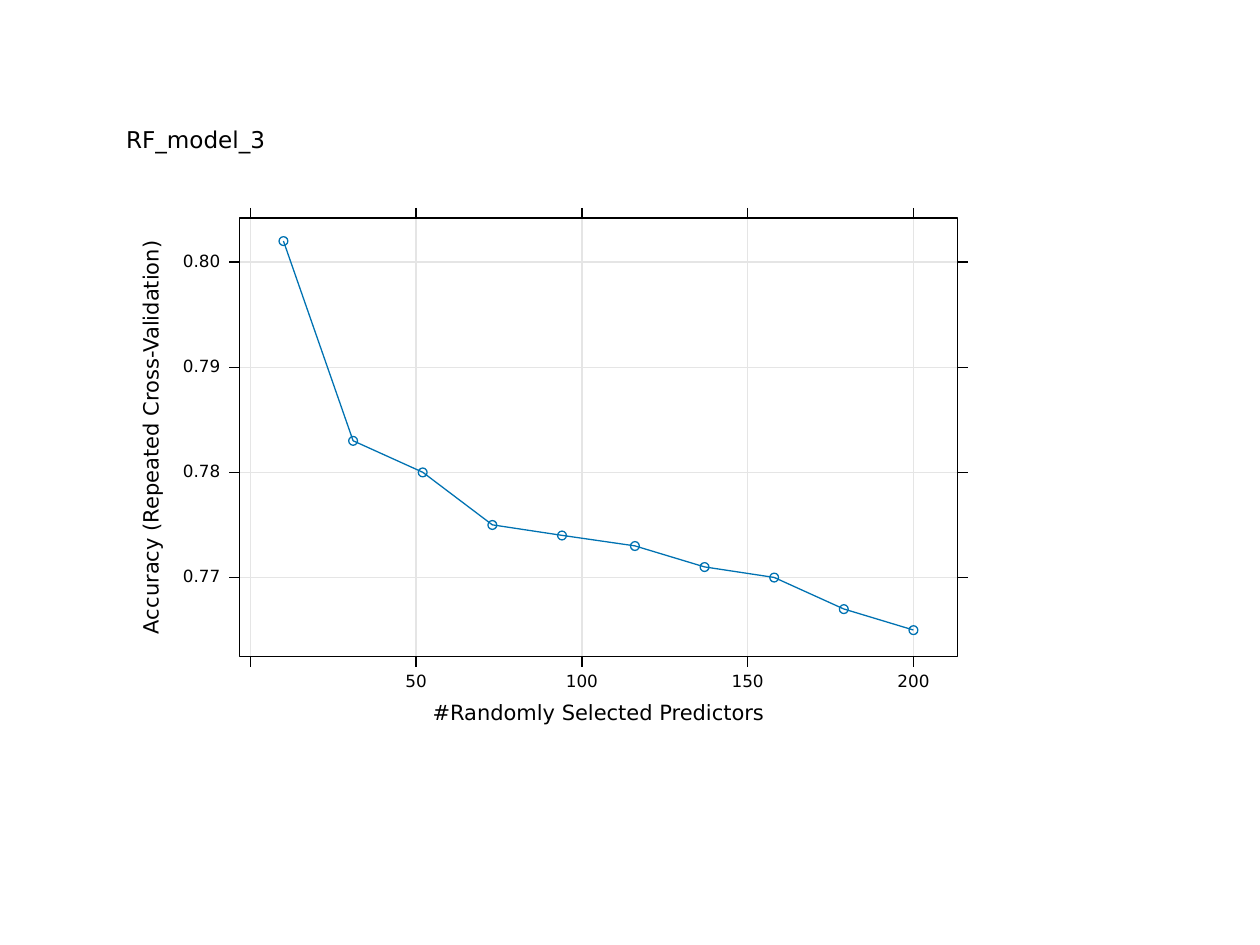
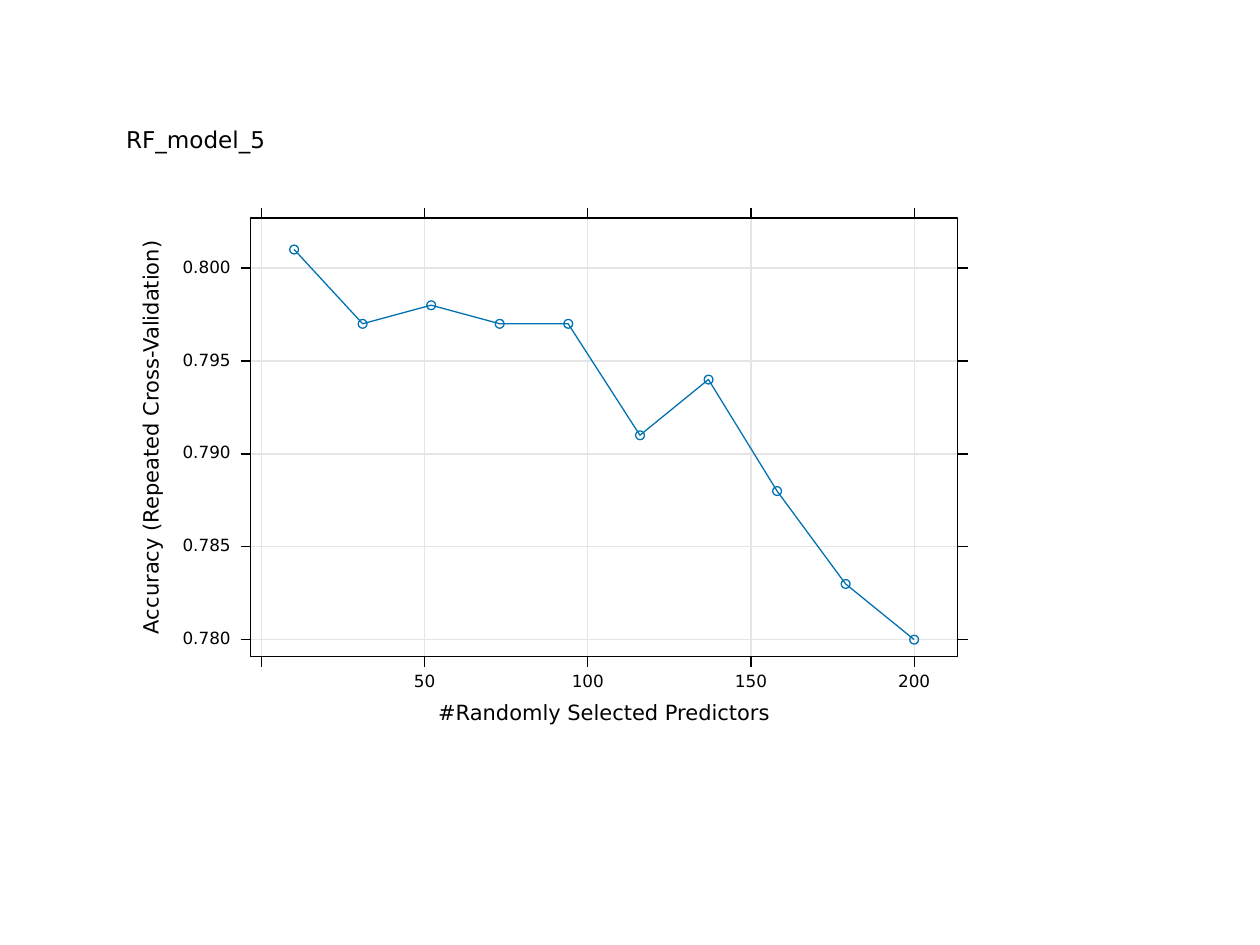
from lxml.etree import SubElement
from pptx import Presentation
from pptx.chart.data import XyChartData
from pptx.dml.color import RGBColor
from pptx.enum.chart import XL_CHART_TYPE, XL_MARKER_STYLE
from pptx.enum.shapes import MSO_CONNECTOR, MSO_SHAPE
from pptx.enum.text import MSO_ANCHOR, MSO_AUTO_SIZE, PP_ALIGN
from pptx.oxml.ns import qn
from pptx.util import Inches, Pt

BLACK = RGBColor(0x00, 0x00, 0x00)
GRID = RGBColor(0xE5, 0xE5, 0xE5)
BLUE = RGBColor(0x00, 0x72, 0xB2)
FONT = "DejaVu Sans"
LINE_WIDTH = Pt(0.75)
NAME_SIZE, AXIS_SIZE, LABEL_SIZE = 13.2, 12, 9.6

PREDICTORS = [10, 31, 52, 73, 94, 116, 137, 158, 179, 200]
PREDICTOR_TICKS = ["0", "50", "100", "150", "200"]
PREDICTOR_LIMITS = (-3.3, 213.3)
PREDICTOR_TITLE = "#Randomly Selected Predictors"
ACCURACY_TITLE = "Accuracy (Repeated Cross-Validation)"
MODELS = [
    {
        "name": "RF_model_3",
        "accuracy": [0.802, 0.783, 0.780, 0.775, 0.774, 0.773, 0.771, 0.770, 0.767, 0.765],
        "ticks": ["0.77", "0.78", "0.79", "0.80"],
        "limits": (0.7625, 0.8042),
        "plot_left": 1.9,
        "label_width": 0.3,
    },
    {
        "name": "RF_model_5",
        "accuracy": [0.801, 0.797, 0.798, 0.797, 0.797, 0.791, 0.794, 0.788, 0.783, 0.780],
        "ticks": ["0.780", "0.785", "0.790", "0.795", "0.800"],
        "limits": (0.7791, 0.8027),
        "plot_left": 1.99,
        "label_width": 0.38,
    },
]

CHART_LEFT, CHART_TOP, CHART_WIDTH, CHART_HEIGHT = 1, 1, 7, 5
PLOT_TOP, PLOT_RIGHT, PLOT_BOTTOM = 1.73, 7.6, 5.21
TICK_LENGTH = 0.08
RING_SIZE = 0.07
LABEL_LEFT, LABEL_HEIGHT = 1.45, 0.1


def set_attributes(target, values):
    """Set each named attribute of the target."""
    for name, value in values.items():
        setattr(target, name, value)


def style_line(line, color):
    """Give a line the shared width and a colour."""
    line.color.rgb = color
    line.width = LINE_WIDTH


def across(model, predictors):
    """Return the slide position of a number of predictors."""
    low, high = PREDICTOR_LIMITS
    return model["plot_left"] + (predictors - low) / (high - low) * (PLOT_RIGHT - model["plot_left"])


def down(model, accuracy):
    """Return the slide position of an accuracy."""
    low, high = model["limits"]
    return PLOT_BOTTOM - (accuracy - low) / (high - low) * (PLOT_BOTTOM - PLOT_TOP)


def write_text(box, text, size, alignment):
    """Write one unwrapped line of text into a box without margins."""
    frame = box.text_frame
    set_attributes(frame, {
        "margin_left": 0, "margin_top": 0, "margin_right": 0, "margin_bottom": 0,
        "vertical_anchor": MSO_ANCHOR.MIDDLE, "word_wrap": False, "auto_size": MSO_AUTO_SIZE.NONE})
    para = frame.paragraphs[0]
    set_attributes(para, {"alignment": alignment, "line_spacing": Pt(size)})
    span = para.add_run()
    span.text = text
    set_attributes(span.font, {"name": FONT, "size": Pt(size), "bold": False})
    span.font.color.rgb = BLACK


def add_label(page, text, size, left, top, width, height, rotation=0):
    """Add a centred text box."""
    box = page.shapes.add_textbox(Inches(left), Inches(top), Inches(width), Inches(height))
    box.rotation = rotation
    write_text(box, text, size, PP_ALIGN.CENTER)


def add_rule(page, color, left, top, right, bottom):
    """Draw one straight line."""
    rule = page.shapes.add_connector(
        MSO_CONNECTOR.STRAIGHT, Inches(left), Inches(top), Inches(right), Inches(bottom))
    style_line(rule.line, color)
    SubElement(rule._element.spPr, qn("a:effectLst"))


def add_outline(page, kind, color, left, top, width, height):
    """Draw an unfilled preset shape."""
    outline = page.shapes.add_shape(kind, Inches(left), Inches(top), Inches(width), Inches(height))
    outline.shadow.inherit = False
    outline.fill.background()
    style_line(outline.line, color)


def add_grid_and_ticks(page, model):
    """Draw grid lines with ticks at both ends and their labels."""
    plot_left = model["plot_left"]
    for text in model["ticks"]:
        top = down(model, float(text))
        add_rule(page, GRID, plot_left, top, PLOT_RIGHT, top)
        add_rule(page, BLACK, plot_left - TICK_LENGTH, top, plot_left, top)
        add_rule(page, BLACK, PLOT_RIGHT, top, PLOT_RIGHT + TICK_LENGTH, top)
        add_label(page, text, LABEL_SIZE, LABEL_LEFT, top - LABEL_HEIGHT / 2,
                  model["label_width"], LABEL_HEIGHT)
    for text in PREDICTOR_TICKS:
        left = across(model, float(text))
        add_rule(page, GRID, left, PLOT_TOP, left, PLOT_BOTTOM)
        add_rule(page, BLACK, left, PLOT_TOP - TICK_LENGTH, left, PLOT_TOP)
        add_rule(page, BLACK, left, PLOT_BOTTOM, left, PLOT_BOTTOM + TICK_LENGTH)
        if text != "0":
            add_label(page, text, LABEL_SIZE, left - 0.13, 5.37, 0.26, LABEL_HEIGHT)


def place_plot(plot_area, plot_left):
    """Fix the inner plot area at its slide position."""
    for old_layout in plot_area.findall(qn("c:layout")):
        plot_area.remove(old_layout)
    layout = SubElement(plot_area, qn("c:layout"))
    plot_area.insert(0, layout)
    manual = SubElement(layout, qn("c:manualLayout"))
    values = {
        "layoutTarget": "inner", "xMode": "edge", "yMode": "edge",
        "x": (plot_left - CHART_LEFT) / CHART_WIDTH,
        "y": (PLOT_TOP - CHART_TOP) / CHART_HEIGHT,
        "w": (PLOT_RIGHT - plot_left) / CHART_WIDTH,
        "h": (PLOT_BOTTOM - PLOT_TOP) / CHART_HEIGHT,
    }
    for name, value in values.items():
        SubElement(manual, qn(f"c:{name}")).set("val", str(value))


def add_accuracy_chart(page, model):
    """Plot accuracy against the number of predictors."""
    data = XyChartData()
    points = data.add_series(model["name"])
    for predictors, accuracy in zip(PREDICTORS, model["accuracy"]):
        points.add_data_point(predictors, accuracy)
    chart = page.shapes.add_chart(
        XL_CHART_TYPE.XY_SCATTER_LINES, Inches(CHART_LEFT), Inches(CHART_TOP),
        Inches(CHART_WIDTH), Inches(CHART_HEIGHT), data).chart
    set_attributes(chart, {"has_title": False, "has_legend": False})
    set_attributes(chart.font, {"name": FONT, "size": Pt(LABEL_SIZE)})
    chart.plots[0].vary_by_categories = False
    series = chart.plots[0].series[0]
    series.smooth = False
    style_line(series.format.line, BLUE)
    series.marker.style = XL_MARKER_STYLE.NONE
    for axis, limits in ((chart.category_axis, PREDICTOR_LIMITS), (chart.value_axis, model["limits"])):
        set_attributes(axis, {
            "minimum_scale": limits[0], "maximum_scale": limits[1],
            "has_major_gridlines": False, "visible": False})
    place_plot(chart._chartSpace.chart.plotArea, model["plot_left"])


def add_rings(page, model):
    """Mark each point with an open ring."""
    for predictors, accuracy in zip(PREDICTORS, model["accuracy"]):
        left = across(model, predictors) - RING_SIZE / 2
        top = down(model, accuracy) - RING_SIZE / 2
        add_outline(page, MSO_SHAPE.OVAL, BLUE, left, top, RING_SIZE, RING_SIZE)


def add_name(page, text):
    """Place the model name above the chart."""
    title = page.shapes.title
    set_attributes(title, {
        "left": Inches(1), "top": Inches(1.03), "width": Inches(1.5), "height": Inches(0.18)})
    write_text(title, text, NAME_SIZE, PP_ALIGN.LEFT)


def main():
    """Build one slide for each model."""
    deck = Presentation()
    deck.slide_width, deck.slide_height = Inches(10), Inches(7.5)
    for model in MODELS:
        page = deck.slides.add_slide(deck.slide_layouts[5])
        plot_left = model["plot_left"]
        plot_width = PLOT_RIGHT - plot_left
        add_name(page, model["name"])
        add_grid_and_ticks(page, model)
        add_accuracy_chart(page, model)
        add_rings(page, model)
        add_outline(page, MSO_SHAPE.RECTANGLE, BLACK, plot_left, PLOT_TOP,
                    plot_width, PLOT_BOTTOM - PLOT_TOP)
        add_label(page, PREDICTOR_TITLE, AXIS_SIZE, plot_left + plot_width / 2 - 1.32, 5.59, 2.64, 0.16)
        add_label(page, ACCURACY_TITLE, AXIS_SIZE, -0.37, 3.39, 3.16, 0.16, 270)
    deck.save("out.pptx")


if __name__ == "__main__":
    main()
